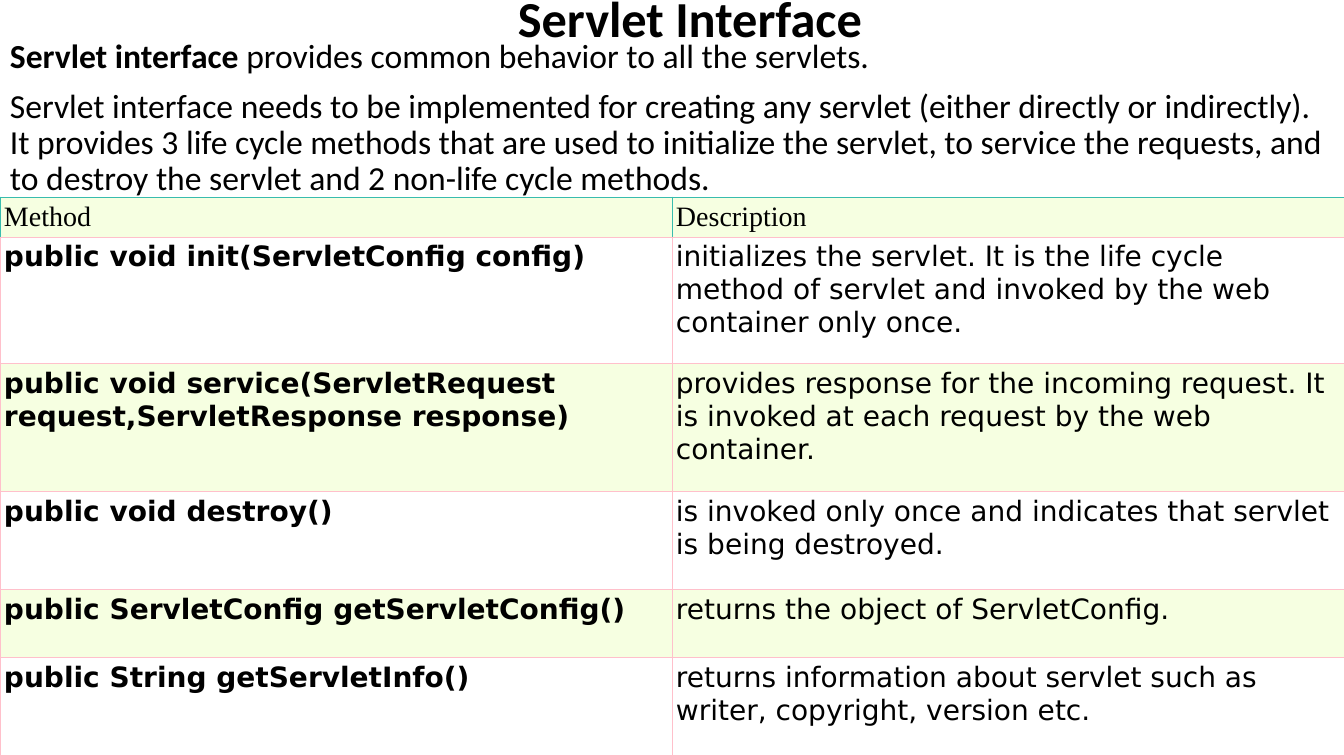
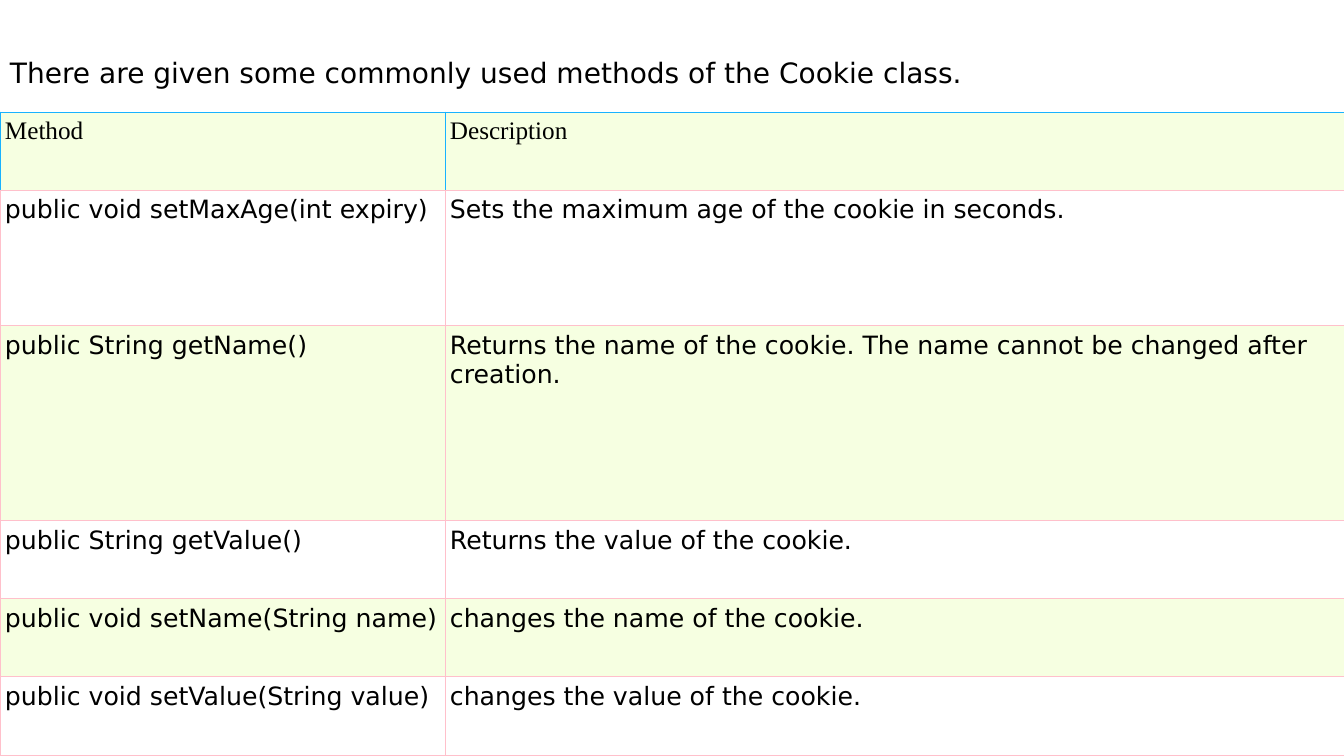
from dataclasses import dataclass

from lxml.etree import SubElement
from pptx import Presentation
from pptx.dml.color import RGBColor
from pptx.enum.text import MSO_ANCHOR, MSO_AUTO_SIZE, PP_ALIGN
from pptx.oxml.ns import qn
from pptx.util import Emu, Pt

PIXEL = 914400 / 100.8


def px(length):
    """Turn pixels into EMU."""
    return Emu(round(length * PIXEL))


@dataclass(frozen=True)
class Theme:
    """Colours, fonts and type sizes shared by the slides."""
    ink: str = "000000"
    white: str = "FFFFFF"
    band: str = "F6FFE1"
    grid: str = "FFC0CB"
    teal: str = "38BCAE"
    blue: str = "18B2FF"
    text_font: str = "Calibri"
    header_font: str = "Times New Roman"
    cell_font: str = "DejaVu Sans"
    title_size: int = 36
    body_size: int = 24
    large_size: int = 20
    small_size: int = 18
    border: float = 0.75


class SlideBuilder:
    """Draws themed elements on the current slide."""

    def __init__(self, deck, theme):
        """Keep the deck and its theme."""
        self.deck = deck
        self.theme = theme
        self.slide = None

    def new_slide(self):
        """Start a blank slide with a white background."""
        self.slide = self.deck.slides.add_slide(self.deck.slide_layouts[6])
        fill = self.slide.background.fill
        fill.solid()
        fill.fore_color.rgb = RGBColor.from_string(self.theme.white)

    def fill_paragraph(self, para, spans, font, size, **paragraph_format):
        """Fill a paragraph with (text, bold) spans."""
        for name, value in paragraph_format.items():
            setattr(para, name, value)
        for text, bold in spans:
            span = para.add_run()
            span.text = text
            for name, value in {"name": font, "size": Pt(size), "bold": bold}.items():
                setattr(span.font, name, value)
            span.font.color.rgb = RGBColor.from_string(self.theme.ink)

    def text(self, area, paragraphs, font, size, anchor=MSO_ANCHOR.TOP,
             auto_size=MSO_AUTO_SIZE.NONE, **paragraph_format):
        """Add a wrapping text box."""
        frame = self.slide.shapes.add_textbox(*map(px, area)).text_frame
        frame_format = {"word_wrap": True, "auto_size": auto_size,
                        "vertical_anchor": anchor}
        for name, value in frame_format.items():
            setattr(frame, name, value)
        for index, spans in enumerate(paragraphs):
            para = frame.add_paragraph() if index else frame.paragraphs[0]
            self.fill_paragraph(para, spans, font, size, **paragraph_format)

    def title(self, area, wording):
        """Add a bold centred title that stands on the bottom of its area."""
        self.text(area, [[(wording, True)]], self.theme.text_font,
                  self.theme.title_size, MSO_ANCHOR.BOTTOM,
                  alignment=PP_ALIGN.CENTER, line_spacing=0.9)

    def borders(self, cell, color, bottom):
        """Draw the four edges of a cell."""
        properties = cell._tc.get_or_add_tcPr()
        edges = {"a:lnL": color, "a:lnR": color, "a:lnT": color, "a:lnB": bottom}
        for tag, edge_color in edges.items():
            line = SubElement(properties, qn(tag), w=str(Pt(self.theme.border)))
            fill = SubElement(line, qn("a:solidFill"))
            SubElement(fill, qn("a:srgbClr"), val=edge_color)

    def method_table(self, top, widths, heights, methods, size, inset,
                     header_line, bold_methods=False):
        """Add a banded table of methods and their descriptions."""
        theme = self.theme
        rows = [("Method", "Description"), *methods]
        table = self.slide.shapes.add_table(
            len(rows), len(widths), 0, px(top), px(sum(widths)), px(sum(heights))).table
        table.first_row = table.horz_banding = False
        for column, width in zip(table.columns, widths):
            column.width = px(width)
        margins = dict.fromkeys(
            ("margin_left", "margin_right", "margin_top", "margin_bottom"), px(inset))
        for row, (height, wording) in enumerate(zip(heights, rows)):
            table.rows[row].height = px(height)
            font = theme.cell_font if row else theme.header_font
            for column, text in enumerate(wording):
                cell = table.cell(row, column)
                for name, value in margins.items():
                    setattr(cell, name, value)
                self.borders(cell, theme.grid if row else header_line, theme.grid)
                cell.fill.solid()
                cell.fill.fore_color.rgb = RGBColor.from_string(
                    theme.white if row % 2 else theme.band)
                bold = bold_methods and row > 0 and column == 0
                self.fill_paragraph(cell.text_frame.paragraphs[0], [(text, bold)],
                                    font, size)


def servlet_slide(builder):
    """Introduce the servlet interface and list its methods."""
    theme = builder.theme
    builder.new_slide()
    builder.title((186, 34, 1008, 19), "Servlet Interface")
    introduction = [
        [("Servlet interface", True),
         ("\u00a0provides common behavior to all the servlets.", False)],
        [("Servlet interface needs to be implemented for creating any servlet "
          "(either directly or indirectly). It provides 3 life cycle methods that "
          "are used to initialize the servlet, to service the requests, and to "
          "destroy the servlet and 2 non-life cycle methods.", False)],
    ]
    builder.text((0, 34, 1344, 722), introduction, theme.text_font, theme.body_size,
                 line_spacing=0.9, space_before=Pt(10))
    methods = [
        ("public void init(ServletConfig config)",
         "initializes the servlet. It is the life cycle method of servlet and "
         "invoked by the web container only once."),
        ("public void service(ServletRequest request,ServletResponse response)",
         "provides response for the incoming request. It is invoked at each "
         "request by the web container."),
        ("public void destroy()",
         "is invoked only once and indicates that servlet is being destroyed."),
        ("public ServletConfig getServletConfig()",
         "returns the object of ServletConfig."),
        ("public String getServletInfo()",
         "returns information about servlet such as writer, copyright, version etc."),
    ]
    builder.method_table(197, (672, 672), (40, 127, 128, 98, 68, 98), methods,
                         theme.large_size, 4, theme.teal, bold_methods=True)


def cookie_slide(builder):
    """List the common methods of the Cookie class."""
    theme = builder.theme
    builder.new_slide()
    methods = [
        ("public void setMaxAge(int expiry)",
         "Sets the maximum age of the cookie in seconds."),
        ("public String getName()",
         "Returns the name of the cookie. The name cannot be changed after creation."),
        ("public String getValue()", "Returns the value of the cookie."),
        ("public void setName(String name)", "changes the name of the cookie."),
        ("public void setValue(String value)", "changes the value of the cookie."),
    ]
    builder.method_table(112, (445, 899), (78, 136, 195, 78, 78, 79), methods,
                         theme.small_size, 5, theme.blue)
    sentence = "There are given some commonly used methods of the Cookie class."
    builder.text((0, 50, 1176, 44), [[(sentence, False)]], theme.cell_font,
                 theme.large_size, MSO_ANCHOR.MIDDLE, MSO_AUTO_SIZE.SHAPE_TO_FIT_TEXT)


def main():
    """Build and save the deck."""
    deck = Presentation()
    deck.slide_width, deck.slide_height = px(1344), px(756)
    builder = SlideBuilder(deck, Theme())
    servlet_slide(builder)
    cookie_slide(builder)
    deck.save("out.pptx")


main()
